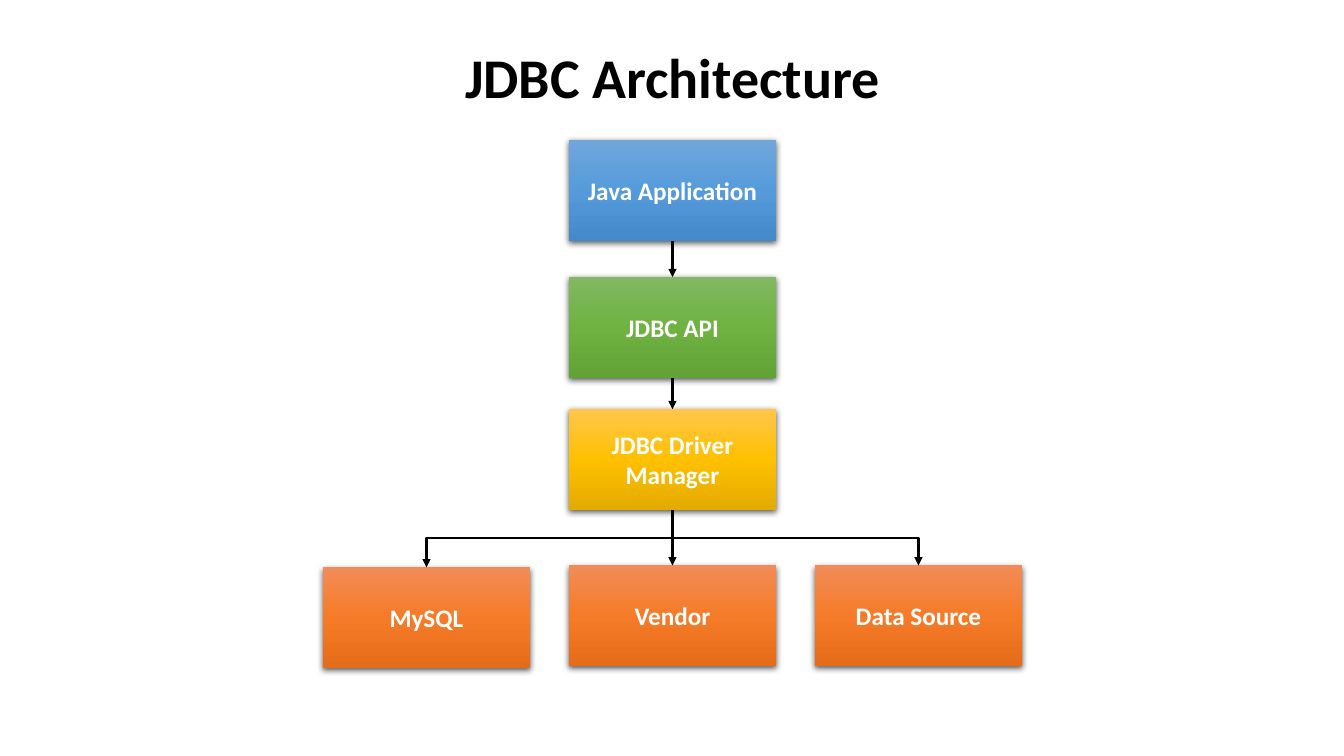
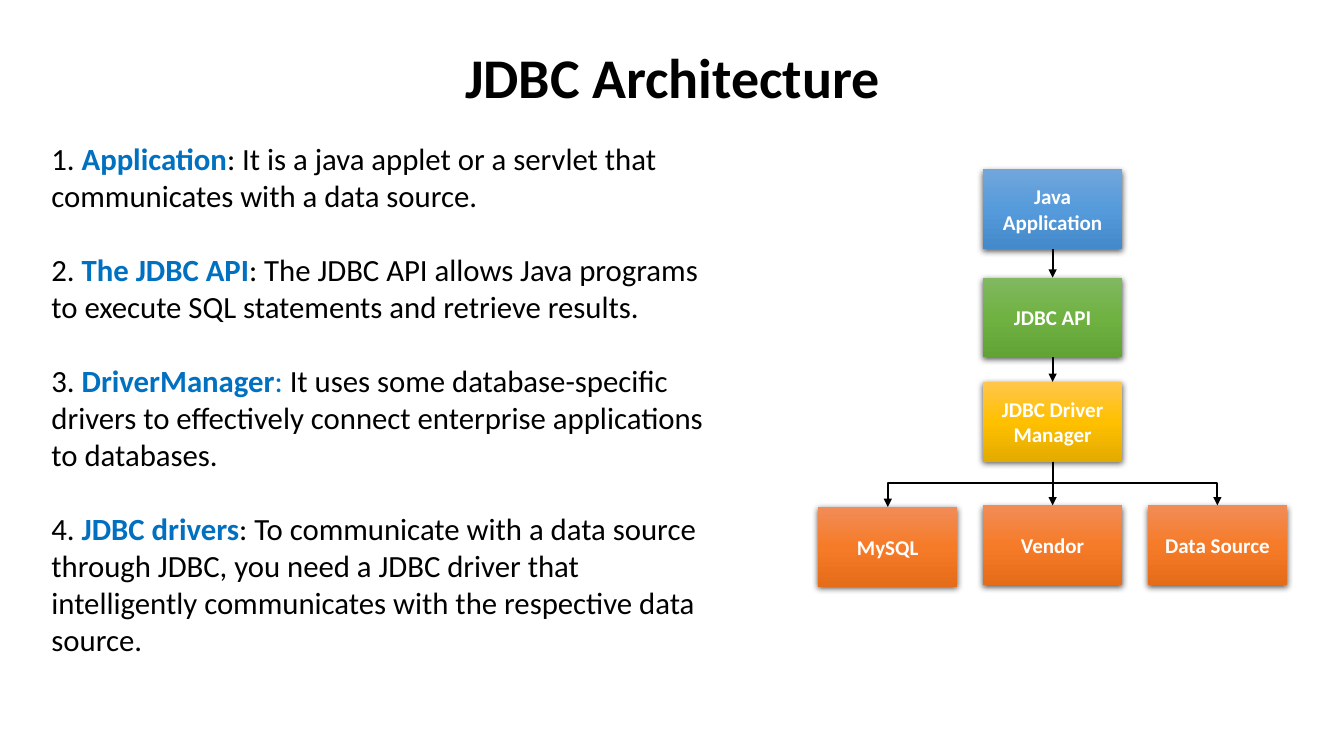
"""Build two slides on the JDBC architecture."""
import lxml.etree
import pptx
import pptx.dml.color
import pptx.enum.shapes
import pptx.enum.text
import pptx.oxml.ns
import pptx.util

Inches = pptx.util.Inches
Pt = pptx.util.Pt
qn = pptx.oxml.ns.qn

TITLE = "JDBC Architecture"
BLACK, WHITE, ACCENT = "000000", "FFFFFF", "0070C0"
BLUE = ("71A6DB", "559BDB", "448ACA")
GREEN = ("81B861", "6FB242", "62A336")
YELLOW = ("FFC64B", "FFC000", "E3AB00")
ORANGE = ("F18C57", "F67B28", "E56C19")

LAYERS = [("Java Application", 0, BLUE), ("JDBC API", 1.36, GREEN),
          ("JDBC Driver Manager", 2.67, YELLOW)]
SOURCES = [("MySQL", -1, 4.24), ("Vendor", 0, 4.22), ("Data Source", 1, 4.22)]

PLAIN = {"color": BLACK, "bold": False}
STRONG = {"color": ACCENT, "bold": True}
ITEMS = [
    [(" ", PLAIN), ("Application", STRONG),
     (": It is a java applet or a servlet that communicates with a data source.", PLAIN)],
    [(" ", PLAIN), ("The JDBC API", STRONG),
     (": The JDBC API allows Java programs to execute SQL statements and retrieve results.", PLAIN)],
    [(" ", PLAIN), ("DriverManager", STRONG), (":", {"color": ACCENT, "bold": False}),
     (" It uses some database-specific drivers to effectively connect enterprise "
      "applications to databases.", PLAIN)],
    [(" ", PLAIN), ("JDBC drivers", STRONG),
     (": To communicate with a data source through JDBC, you need a JDBC driver that "
      "intelligently communicates with the respective data source.", PLAIN)],
]


def color(value):
    """Return the colour for a hex string."""
    return pptx.dml.color.RGBColor.from_string(value)


def assign(target, values):
    """Set each named attribute on the target."""
    for name, value in values.items():
        setattr(target, name, value)


def add_xml(parent, tag, **attributes):
    """Append a drawing element and return it."""
    return lxml.etree.SubElement(parent, qn(tag), attributes)


class Slides:
    """Hold the deck, its style and the current page."""

    font = "Calibri"
    title_place = (1.67, 0.21, 10, 0.94)
    box_width, box_height, column_step = 2.06, 1, 2.44

    def __init__(self):
        """Start a widescreen deck."""
        self.deck = pptx.Presentation()
        assign(self.deck, {"slide_width": Inches(13.33), "slide_height": Inches(7.5)})
        self.page = None

    def place(self, shape, left, top, width, height):
        """Move and size a shape."""
        assign(shape, {"left": Inches(left), "top": Inches(top),
                       "width": Inches(width), "height": Inches(height)})

    def add_span(self, para, text, size, **look):
        """Add a formatted span to a paragraph."""
        span = para.add_run()
        span.text = text
        span.font.color.rgb = color(look.pop("color"))
        assign(span.font, {"name": self.font, "size": Pt(size), **look})

    def add_page(self, layout, title):
        """Add a page with its title."""
        self.page = self.deck.slides.add_slide(self.deck.slide_layouts.get_by_name(layout))
        box = self.page.shapes.title
        self.place(box, *self.title_place)
        assign(box.text_frame, {"vertical_anchor": pptx.enum.text.MSO_ANCHOR.BOTTOM,
                                "auto_size": pptx.enum.text.MSO_AUTO_SIZE.NONE,
                                "word_wrap": True})
        para = box.text_frame.paragraphs[0]
        assign(para, {"alignment": pptx.enum.text.PP_ALIGN.CENTER, "line_spacing": 0.9})
        self.add_span(para, title, 40, color=BLACK, bold=True)

    def add_list(self, items, place, size):
        """Fill the body placeholder with numbered items."""
        box = self.page.placeholders[1]
        self.place(box, *place)
        frame = box.text_frame
        assign(frame, {"auto_size": pptx.enum.text.MSO_AUTO_SIZE.NONE, "word_wrap": True})
        for index, spans in enumerate(items):
            para = frame.add_paragraph() if index else frame.paragraphs[0]
            layout = para._p.get_or_add_pPr()
            layout.set("marL", "0")
            layout.set("indent", "0")
            add_xml(layout, "a:buFont", typeface="+mj-lt")
            add_xml(layout, "a:buAutoNum", type="arabicPeriod")
            para.space_before = Pt(26.5 if index else 0)
            for text, look in spans:
                self.add_span(para, text, size, **look)

    def add_box(self, text, place, stops, size):
        """Add a shaded rectangle with a centred label."""
        box = self.page.shapes.add_shape(pptx.enum.shapes.MSO_SHAPE.RECTANGLE, 0, 0, 0, 0)
        self.place(box, *place)
        box.line.fill.background()
        box.fill.gradient()
        box.fill.gradient_angle = 270
        properties = box._element.spPr
        stop_list = properties.find(qn("a:gradFill")).find(qn("a:gsLst"))
        stop_list.clear()
        for position, stop in zip(("0", "50000", "100000"), stops):
            add_xml(add_xml(stop_list, "a:gs", pos=position), "a:srgbClr", val=str(color(stop)))
        box.shadow.inherit = False
        shadow = add_xml(properties.find(qn("a:effectLst")), "a:outerShdw",
                         blurRad=str(int(Pt(4.5))), dist=str(int(Pt(1.5))), dir="5400000",
                         algn="ctr", rotWithShape="0")
        add_xml(add_xml(shadow, "a:srgbClr", val=str(color(BLACK))), "a:alpha", val="63000")
        assign(box.text_frame, {"word_wrap": True,
                                "vertical_anchor": pptx.enum.text.MSO_ANCHOR.MIDDLE})
        para = box.text_frame.paragraphs[0]
        para.alignment = pptx.enum.text.PP_ALIGN.CENTER
        self.add_span(para, text, size, color=WHITE, bold=True)
        return box

    def add_arrow(self, upper, lower, bend=None):
        """Join the bottom of one box to the top of another."""
        kinds = pptx.enum.shapes.MSO_CONNECTOR
        kind = kinds.STRAIGHT if bend is None else kinds.ELBOW
        arrow = self.page.shapes.add_connector(kind, 0, 0, 0, 0)
        arrow.begin_connect(upper, 2)
        arrow.end_connect(lower, 0)
        arrow.line.color.rgb = color(BLACK)
        arrow.line.width = Pt(1.5)
        properties = arrow._element.spPr
        add_xml(properties.find(qn("a:ln")), "a:tailEnd", type="triangle")
        add_xml(properties, "a:effectLst")
        if bend is not None:
            self.turn_elbow(arrow, bend)

    def turn_elbow(self, arrow, bend):
        """Rotate an elbow so that it leaves downwards and turns at the bend."""
        rightward = arrow.end_x > arrow.begin_x
        across, down = arrow.width, arrow.height
        assign(arrow, {"left": arrow.left + (across - down) // 2,
                       "top": arrow.top + (down - across) // 2,
                       "width": down, "height": across})
        properties = arrow._element.spPr
        frame = properties.find(qn("a:xfrm"))
        frame.attrib.pop("flipH", None)
        frame.set("rot", "16200000" if rightward else "5400000")
        if rightward:
            frame.set("flipH", "1")
        guides = properties.find(qn("a:prstGeom")).find(qn("a:avLst"))
        add_xml(guides, "a:gd", name="adj1", fmla=f"val {round(bend / down * 100000)}")

    def add_diagram(self, center, top, scale_x, scale_y, size):
        """Draw the layers and the data sources below them."""
        width, height = self.box_width * scale_x, self.box_height * scale_y

        def box_at(text, column, offset, stops):
            """Add one box on the scaled grid."""
            left = center + column * self.column_step * scale_x - width / 2
            return self.add_box(text, (left, top + offset * scale_y, width, height), stops, size)

        layers = [box_at(text, 0, offset, stops) for text, offset, stops in LAYERS]
        sources = [box_at(text, column, offset, ORANGE) for text, column, offset in SOURCES]
        for upper, lower in zip(layers, layers[1:]):
            self.add_arrow(upper, lower)
        left, middle, right = sources
        manager = layers[-1]
        bend = (middle.top - manager.top - manager.height) / 2
        for source in (left, right):
            self.add_arrow(manager, source, bend)
        self.add_arrow(manager, middle)


def main():
    """Build and save the deck."""
    slides = Slides()
    slides.add_page("Title Only", TITLE)
    slides.add_diagram(6.67, 1.39, 1, 1, 18)
    slides.add_page("Title and Content", TITLE)
    slides.add_diagram(10.44, 1.68, 0.67, 0.79, 15)
    slides.add_list(ITEMS, (0.41, 1.34, 6.67, 5.28), 22)
    slides.deck.save("out.pptx")


if __name__ == "__main__":
    main()
